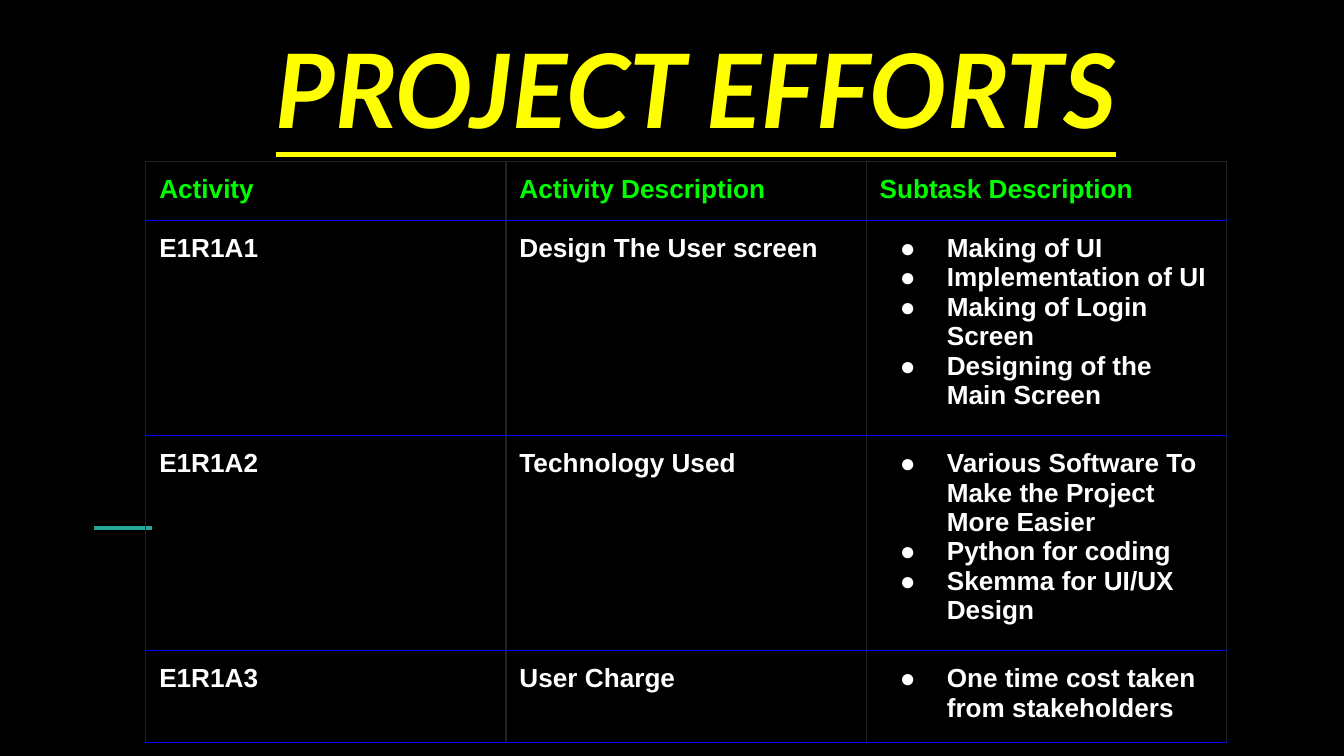
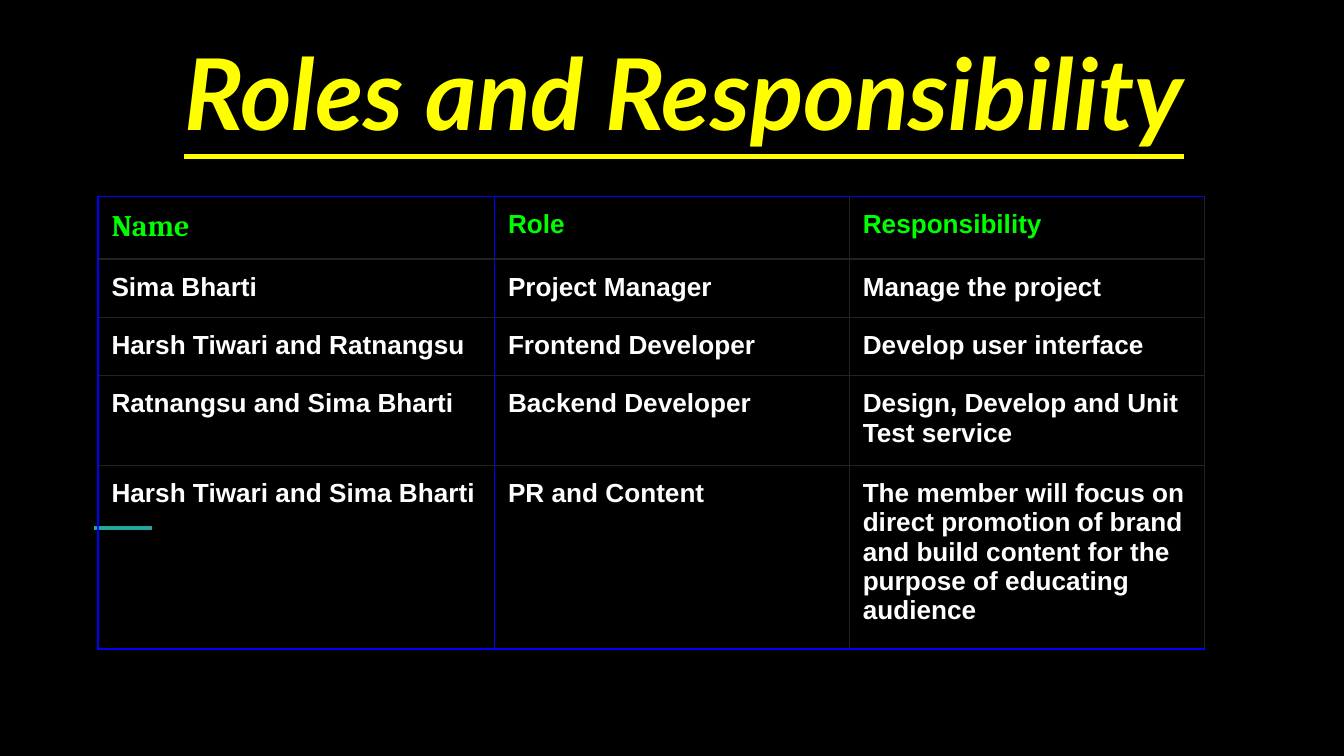
from dataclasses import dataclass, field

import pptx
import pptx.dml.color
import pptx.enum.shapes
import pptx.enum.text
import pptx.oxml
import pptx.oxml.ns
import pptx.util


@dataclass(frozen=True)
class TextStyle:
    font: str
    size: float
    colour: str
    italic: bool = False
    underline: bool = False


@dataclass(frozen=True)
class Theme:
    background: str = "000000"
    accent: str = "26A69A"
    title_colour: str = "FFFF00"
    strong_border: str = "0000FF"
    faint_border: str = "222222"
    accent_width: float = 2.25
    border_width: float = 0.75
    inset: float = 1
    bullet_margin: float = 5
    bullet_hang: float = 3.5
    header: TextStyle = TextStyle("Arial", 14, "00FF00")
    serif_header: TextStyle = TextStyle("Cambria", 16, "00FF00")
    body: TextStyle = TextStyle("Arial", 14, "FFFFFF")

    def title(self, size: float) -> TextStyle:
        return TextStyle("Lato", size, self.title_colour, italic=True, underline=True)


@dataclass(frozen=True)
class Area:
    """A place on the grid, in units."""
    left: float
    top: float
    width: float
    height: float


@dataclass(frozen=True)
class Grid:
    """Line numbers (0 is the left or top edge) that get the strong border."""
    horizontal: frozenset[int] = frozenset()
    vertical: frozenset[int] = frozenset()


@dataclass(frozen=True)
class TablePage:
    title: str
    title_size: float
    title_area: Area
    left: float
    top: float
    columns: list[float]
    rows: list[float]
    cells: list[list[str]]
    strong: Grid
    header_styles: dict[int, TextStyle] = field(default_factory=dict)
    bullet_column: int | None = None


THEME = Theme()
SLIDE_WIDTH = pptx.util.Inches(10)
SLIDE_HEIGHT = pptx.util.Inches(5.625)
GRID_COLUMNS = 100  # square grid cells: the slide is 100 wide, 56.25 high

PAGES = [
    TablePage(
        title="PROJECT EFFORTS",
        title_size=55,
        title_area=Area(7.4, 1.5, 88.8, 10.6),
        left=10.85,
        top=12,
        columns=[26.8] * 3,
        rows=[4.4, 15.7, 15.7, 6.8],
        cells=[
            ["Activity", "Activity Description", "Subtask Description"],
            ["E1R1A1", "Design The User screen",
             "Making of UI\nImplementation of UI\nMaking of Login Screen\n"
             "Designing of the Main Screen"],
            ["E1R1A2", "Technology Used",
             "Various Software To Make the Project More Easier\n"
             "Python for coding\nSkemma for UI/UX Design"],
            ["E1R1A3", "User Charge", "One time cost taken from stakeholders"],
        ],
        strong=Grid(horizontal=frozenset({1, 2, 3, 4})),
        bullet_column=2,
    ),
    TablePage(
        title="Roles and Responsibility",
        title_size=53,
        title_area=Area(6.5, 0.9, 88.8, 11.3),
        left=7.3,
        top=14.6,
        columns=[29.5, 26.4, 26.4],
        rows=[4.2] * 5,
        cells=[
            ["Name", "Role", "Responsibility"],
            ["Sima Bharti", "Project Manager", "Manage the project"],
            ["Harsh Tiwari and Ratnangsu", "Frontend Developer",
             "Develop user interface"],
            ["Ratnangsu and Sima Bharti", "Backend Developer",
             "Design, Develop and Unit Test service"],
            ["Harsh Tiwari and Sima Bharti", "PR and Content",
             "The member will focus on direct promotion of brand and build "
             "content for the purpose of educating audience"],
        ],
        strong=Grid(horizontal=frozenset({0, 5}), vertical=frozenset({0, 1})),
        header_styles={0: THEME.serif_header},
    ),
]


def units(count: float) -> pptx.util.Emu:
    return pptx.util.Emu(round(SLIDE_WIDTH * count / GRID_COLUMNS))


def rgb(colour: str) -> pptx.dml.color.RGBColor:
    return pptx.dml.color.RGBColor.from_string(colour)


def add_element(parent, xml: str) -> None:
    namespace = pptx.oxml.ns.nsdecls("a")
    parent.append(pptx.oxml.parse_xml(xml.replace(" ", f" {namespace} ", 1)))


def style_paragraph(para, style: TextStyle) -> None:
    for span in para.runs:
        font = span.font
        font.name = style.font
        font.size = pptx.util.Pt(style.size)
        font.bold = True
        font.italic = style.italic
        font.underline = style.underline
        font.color.rgb = rgb(style.colour)


def set_insets(holder) -> None:
    inset = units(THEME.inset)
    holder.margin_left = holder.margin_right = inset
    holder.margin_top = holder.margin_bottom = inset


def add_bullet(para, style: TextStyle) -> None:
    properties = para._p.get_or_add_pPr()
    properties.set("marL", str(units(THEME.bullet_margin)))
    properties.set("indent", str(-units(THEME.bullet_hang)))
    add_element(properties, f'<a:buClr ><a:srgbClr val="{style.colour}"/></a:buClr>')
    add_element(properties, f'<a:buFont typeface="{style.font}"/>')
    add_element(properties, '<a:buChar char="●"/>')


def add_borders(cell, row: int, column: int, strong: Grid) -> None:
    sides = {
        "lnL": column in strong.vertical,
        "lnR": column + 1 in strong.vertical,
        "lnT": row in strong.horizontal,
        "lnB": row + 1 in strong.horizontal,
    }
    width = pptx.util.Pt(THEME.border_width)
    for side, is_strong in sides.items():
        colour = THEME.strong_border if is_strong else THEME.faint_border
        add_element(
            cell._tc.get_or_add_tcPr(),
            f'<a:{side} w="{width}"><a:solidFill><a:srgbClr val="{colour}"/>'
            f'</a:solidFill><a:prstDash val="solid"/></a:{side}>')


def add_accent_line(page) -> None:
    line = page.shapes.add_connector(
        pptx.enum.shapes.MSO_CONNECTOR.STRAIGHT,
        units(7), units(39.3), units(11.3), units(39.3))
    line.line.color.rgb = rgb(THEME.accent)
    line.line.width = pptx.util.Pt(THEME.accent_width)
    add_element(line._element.spPr, "<a:effectLst />")


def add_title(page, content: TablePage) -> None:
    area = content.title_area
    box = page.shapes.add_textbox(
        units(area.left), units(area.top), units(area.width), units(area.height))
    frame = box.text_frame
    frame.word_wrap = True
    frame.vertical_anchor = pptx.enum.text.MSO_ANCHOR.BOTTOM
    set_insets(frame)
    frame.text = content.title
    para = frame.paragraphs[0]
    para.alignment = pptx.enum.text.PP_ALIGN.CENTER
    style_paragraph(para, THEME.title(content.title_size))


def fill_cell(cell, row: int, column: int, content: TablePage) -> None:
    is_header = row == 0
    style = content.header_styles.get(column, THEME.header) if is_header else THEME.body
    set_insets(cell)
    cell.text_frame.text = content.cells[row][column]
    for para in cell.text_frame.paragraphs:
        if column == content.bullet_column and not is_header:
            add_bullet(para, style)
        style_paragraph(para, style)
    add_borders(cell, row, column, content.strong)
    cell.fill.background()


def add_grid_table(page, content: TablePage) -> None:
    table = page.shapes.add_table(
        len(content.rows), len(content.columns),
        units(content.left), units(content.top),
        units(sum(content.columns)), units(sum(content.rows))).table
    table.first_row = False
    table.horz_banding = False
    for column, width in enumerate(content.columns):
        table.columns[column].width = units(width)
    for row, height in enumerate(content.rows):
        table.rows[row].height = units(height)
        for column in range(len(content.columns)):
            fill_cell(table.cell(row, column), row, column, content)


def add_page(deck, content: TablePage) -> None:
    page = deck.slides.add_slide(deck.slide_layouts[6])
    page.background.fill.solid()
    page.background.fill.fore_color.rgb = rgb(THEME.background)
    add_accent_line(page)
    add_title(page, content)
    add_grid_table(page, content)


def main() -> None:
    deck = pptx.Presentation()
    deck.slide_width = SLIDE_WIDTH
    deck.slide_height = SLIDE_HEIGHT
    for content in PAGES:
        add_page(deck, content)
    deck.save("out.pptx")


if __name__ == "__main__":
    main()
